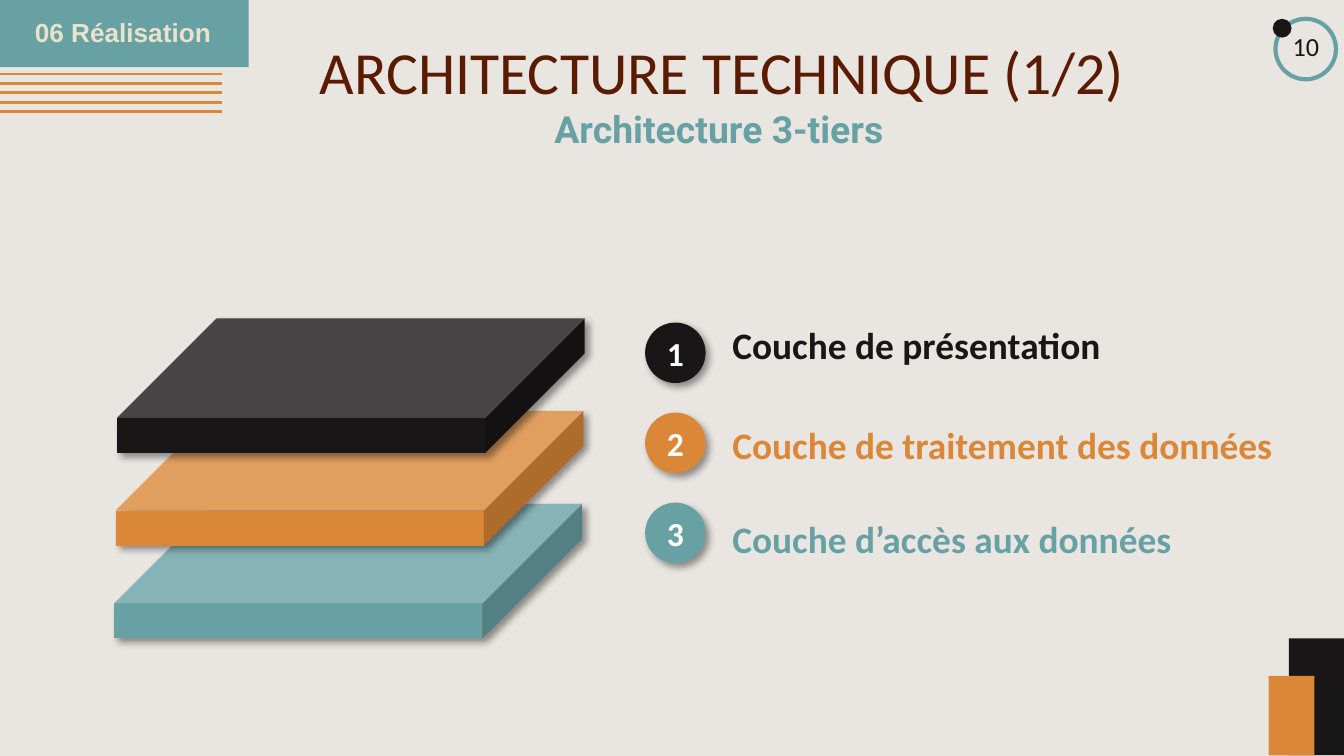
from dataclasses import dataclass

from lxml.etree import SubElement
from pptx import Presentation
from pptx.dml.color import RGBColor
from pptx.enum.shapes import MSO_CONNECTOR, MSO_SHAPE
from pptx.enum.text import MSO_ANCHOR, MSO_AUTO_SIZE, PP_ALIGN
from pptx.oxml.ns import qn
from pptx.util import Inches, Pt


@dataclass(frozen=True)
class Theme:
    background: str = "E9E6E1"
    teal: str = "68A1A4"
    orange: str = "DA8737"
    black: str = "191617"
    brown: str = "5A1B00"
    cream: str = "E9E3CB"
    white: str = "FFFFFF"
    title_size: int = 32
    label_size: int = 20
    number_size: int = 18
    small_size: int = 14
    font: str = "Calibri"
    subtitle_font: str = "Roboto"
    section_font: str = "Arial"


THEME = Theme()


def write_text(shape, text, *, size, color, font=THEME.font, bold=False,
               align=PP_ALIGN.LEFT, anchor=MSO_ANCHOR.TOP, inset=None,
               line_spacing=None, space_after=None, grow=False):
    frame = shape.text_frame
    frame.word_wrap = True
    frame.auto_size = MSO_AUTO_SIZE.SHAPE_TO_FIT_TEXT if grow else MSO_AUTO_SIZE.NONE
    frame.vertical_anchor = anchor
    if inset is not None:
        frame.margin_left = frame.margin_right = Inches(inset)
        frame.margin_top = frame.margin_bottom = Inches(inset)
    frame.text = text
    paragraph = frame.paragraphs[0]
    paragraph.alignment = align
    paragraph.line_spacing = line_spacing
    if space_after is not None:
        paragraph.space_after = Pt(space_after)
    run_font = paragraph.runs[0].font
    run_font.name = font
    run_font.size = Pt(size)
    run_font.bold = bold
    run_font.color.rgb = RGBColor.from_string(color)


def add_text(slide, box, text, **text_format):
    shape = slide.shapes.add_textbox(*map(Inches, box))
    write_text(shape, text, **text_format)


def add_drop_shadow(shape):
    effects = shape._element.spPr.find(qn("a:effectLst"))
    shadow = SubElement(effects, qn("a:outerShdw"), blurRad=str(Pt(4)),
                        dist=str(Pt(3)), dir=str(45 * 60000),
                        algn="tl", rotWithShape="0")
    color = SubElement(shadow, qn("a:srgbClr"), val="000000")
    SubElement(color, qn("a:alpha"), val="40000")


def add_figure(slide, kind, box, fill=None, line=None, drop_shadow=False):
    shape = slide.shapes.add_shape(kind, *map(Inches, box))
    shape.shadow.inherit = False
    if fill:
        shape.fill.solid()
        shape.fill.fore_color.rgb = RGBColor.from_string(fill)
    else:
        shape.fill.background()
    if line:
        shape.line.color.rgb = RGBColor.from_string(line)
        shape.line.width = Pt(2.25)
    else:
        shape.line.fill.background()
    if drop_shadow:
        add_drop_shadow(shape)
    return shape


def add_stripes(slide, count=5, first=0.55, step=0.07, length=1.65):
    for index in range(count):
        y = Inches(first + index * step)
        stripe = slide.shapes.add_connector(MSO_CONNECTOR.STRAIGHT, 0, y, Inches(length), y)
        stripe.line.color.rgb = RGBColor.from_string(THEME.orange)
        stripe.line.width = Pt(1.5)
        SubElement(stripe._element.spPr, qn("a:effectLst"))


def add_heading(slide):
    title = slide.shapes.title
    title.left, title.top, title.width, title.height = map(Inches, (2.28, 0.08, 7.72, 0.85))
    write_text(title, "ARCHITECTURE TECHNIQUE (1/2)", size=THEME.title_size,
               color=THEME.brown, inset=0.1, line_spacing=1.15, space_after=6)
    add_text(slide, (2.96, 0.69, 4.78, 0.56), "Architecture 3-tiers",
             size=THEME.label_size, color=THEME.teal, font=THEME.subtitle_font,
             bold=True, align=PP_ALIGN.CENTER, inset=0.1)


def add_section_tag(slide):
    add_figure(slide, MSO_SHAPE.RECTANGLE, (0, 0, 1.85, 0.5), THEME.teal)
    add_text(slide, (0, 0.07, 1.83, 0.34), "06 Réalisation", size=THEME.small_size,
             color=THEME.cream, font=THEME.section_font, bold=True,
             align=PP_ALIGN.CENTER, grow=True)


def add_page_badge(slide):
    add_figure(slide, MSO_SHAPE.OVAL, (9.49, 0.14, 0.45, 0.45), line=THEME.teal)
    add_figure(slide, MSO_SHAPE.OVAL, (9.47, 0.14, 0.14, 0.14), THEME.black)
    add_text(slide, (9.52, 0.23, 0.48, 0.22), "10", size=THEME.small_size,
             color=THEME.black, anchor=MSO_ANCHOR.MIDDLE, inset=0.1)


def add_corner_blocks(slide):
    add_figure(slide, MSO_SHAPE.RECTANGLE, (9.59, 4.75, 0.41, 0.87), THEME.black)
    add_figure(slide, MSO_SHAPE.RECTANGLE, (9.44, 5.03, 0.34, 0.59), THEME.orange)


def add_layers(slide):
    layers = [
        ("Couche de présentation", THEME.black, 2.35, 3.62),
        ("Couche de traitement des données", THEME.orange, 3.09, 4.49),
        ("Couche d’accès aux données", THEME.teal, 3.79, 3.78),
    ]
    for index, (label, color, label_top, label_width) in reversed(list(enumerate(layers))):
        slab = add_figure(slide, MSO_SHAPE.CUBE,
                          (0.87 - 0.01 * index, 2.37 + 0.69 * index, 3.48, 1),
                          color, drop_shadow=True)
        slab.adjustments[0] = 0.74
        number = add_figure(slide, MSO_SHAPE.OVAL, (4.8, 2.4 + 0.67 * index, 0.45, 0.45),
                            color, drop_shadow=True)
        write_text(number, str(index + 1), size=THEME.number_size, color=THEME.white,
                   bold=True, align=PP_ALIGN.CENTER, anchor=MSO_ANCHOR.MIDDLE, inset=0)
        add_text(slide, (5.35, label_top, label_width, 0.44), label,
                 size=THEME.label_size, color=color, bold=True, grow=True)


def main():
    presentation = Presentation()
    presentation.slide_width = Inches(10)
    presentation.slide_height = presentation.slide_width * 9 // 16
    slide = presentation.slides.add_slide(presentation.slide_layouts[5])
    slide.background.fill.solid()
    slide.background.fill.fore_color.rgb = RGBColor.from_string(THEME.background)
    add_stripes(slide)
    add_corner_blocks(slide)
    add_heading(slide)
    add_page_badge(slide)
    add_layers(slide)
    add_section_tag(slide)
    presentation.save("out.pptx")


if __name__ == "__main__":
    main()
